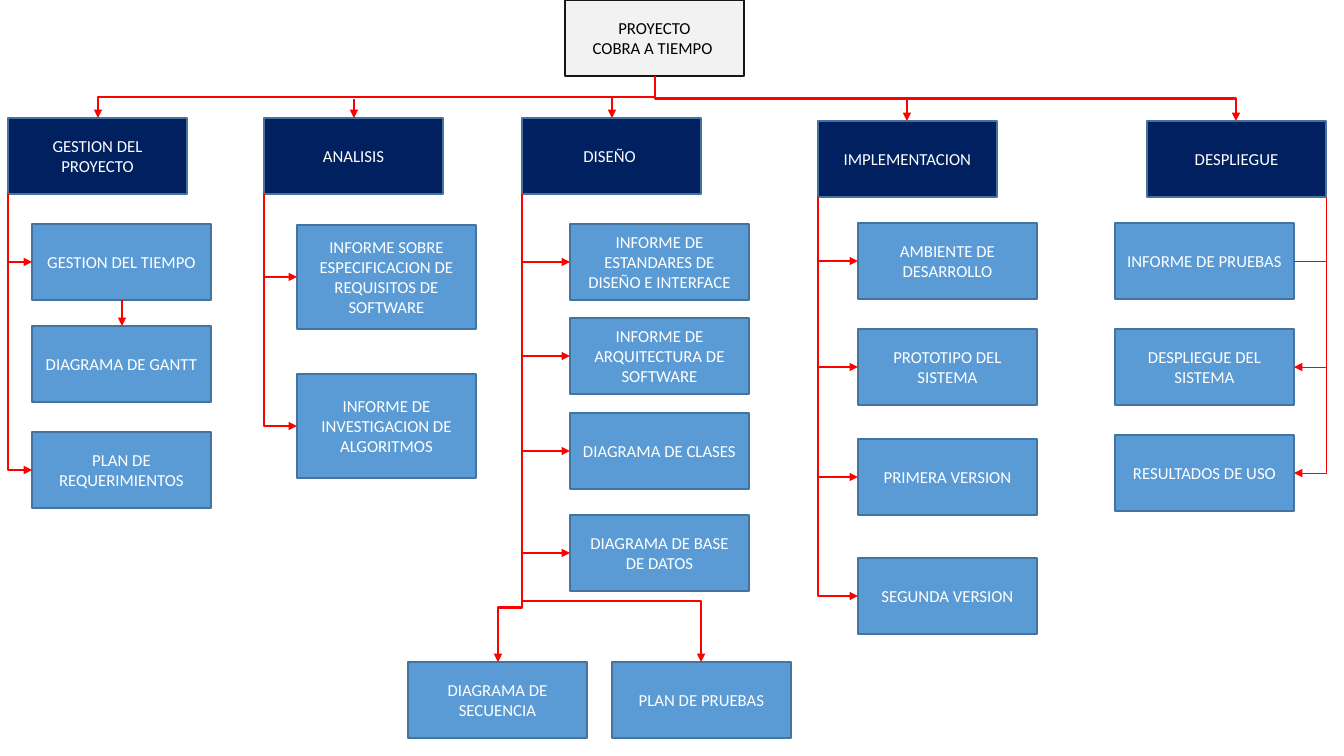
from lxml.etree import SubElement
from pptx import Presentation
from pptx.dml.color import RGBColor
from pptx.enum.shapes import MSO_CONNECTOR, MSO_SHAPE
from pptx.enum.text import MSO_ANCHOR, PP_ALIGN
from pptx.oxml.ns import qn
from pptx.util import Pt

EMU_PER_PX = 914400 / 100.8
BOX_W, BOX_H, TALL_H = 179, 76, 104
NAVY, BLUE, BLUE_EDGE = "002060", "5B9BD5", "43739E"
WHITE, BLACK, RED = "FFFFFF", "000000", "FF0000"

# Phase title, left, top, left of its tasks, task height, [(task, top)]
PHASES = [
    ("GESTION DEL PROYECTO", 8, 118, 32, BOX_H, [
        ("GESTION DEL TIEMPO", 224),
        ("PLAN DE REQUERIMIENTOS", 432)]),
    ("ANALISIS", 264, 118, 297, TALL_H, [
        ("INFORME SOBRE ESPECIFICACION DE REQUISITOS DE SOFTWARE", 225),
        ("INFORME DE INVESTIGACION DE ALGORITMOS", 374)]),
    ("DISEÑO ", 522, 118, 570, BOX_H, [
        ("INFORME DE ESTANDARES DE DISEÑO E INTERFACE", 224),
        ("INFORME DE ARQUITECTURA DE SOFTWARE", 318),
        ("DIAGRAMA DE CLASES", 413),
        ("DIAGRAMA DE BASE DE DATOS", 515)]),
    ("IMPLEMENTACION", 818, 121, 858, BOX_H, [
        ("AMBIENTE DE DESARROLLO", 223),
        ("PROTOTIPO DEL SISTEMA", 329),
        ("PRIMERA VERSION", 439),
        ("SEGUNDA VERSION", 558)]),
    ("DESPLIEGUE", 1147, 121, 1115, BOX_H, [
        ("INFORME DE PRUEBAS", 223),
        ("DESPLIEGUE DEL SISTEMA", 329),
        ("RESULTADOS DE USO", 435)]),
]


def px(length):
    return round(length * EMU_PER_PX)


def rgb(color):
    return RGBColor.from_string(color)


def box(slide, text, left, top, height=BOX_H, fill=BLUE, edge=BLUE_EDGE, ink=WHITE):
    shape = slide.shapes.add_shape(
        MSO_SHAPE.RECTANGLE, px(left), px(top), px(BOX_W), px(height))
    shape.shadow.inherit = False
    shape.fill.solid()
    shape.fill.fore_color.rgb = rgb(fill)
    shape.line.color.rgb = rgb(edge)
    shape.line.width = Pt(1)
    frame = shape.text_frame
    frame.word_wrap = True
    frame.vertical_anchor = MSO_ANCHOR.MIDDLE
    frame.text = text
    for paragraph in frame.paragraphs:
        paragraph.alignment = PP_ALIGN.CENTER
        for run in paragraph.runs:
            run.font.name = "Calibri"
            run.font.size = Pt(12)
            run.font.color.rgb = rgb(ink)


def link(slide, start, end, preset="line", weight=1.5, arrow=True):
    corners = [px(value) for value in (*start, *end)]
    connector = slide.shapes.add_connector(MSO_CONNECTOR.STRAIGHT, *corners)
    connector.line.color.rgb = rgb(RED)
    connector.line.width = Pt(weight)
    properties = connector.element.spPr
    properties.find(qn("a:prstGeom")).set("prst", preset)
    if arrow:
        SubElement(properties.find(qn("a:ln")), qn("a:tailEnd"), type="triangle")
    SubElement(properties, qn("a:effectLst"))
    return connector


def drop_link(slide, start, end, preset="bentConnector2", weight=1.5, arrow=True):
    """Bent link that leaves downwards: a turned frame around the same centre."""
    (x1, y1), (x2, y2) = start, end
    run, fall = abs(x2 - x1), y2 - y1
    left, top = (x1 + x2 - fall) / 2, (y1 + y2 - run) / 2
    connector = link(slide, (left, top), (left + fall, top + run),
                     preset, weight, arrow)
    frame = connector.element.spPr.find(qn("a:xfrm"))
    if x2 > x1:
        frame.set("rot", str(270 * 60000))
        frame.set("flipH", "1")
    else:
        frame.set("rot", str(90 * 60000))


def phase(slide, title, left, top, task_left, task_height, tasks):
    box(slide, title, left, top, fill=NAVY)
    on_right = task_left < left
    trunk = left + BOX_W if on_right else left
    task_edge = task_left + BOX_W if on_right else task_left
    branch_top = top + BOX_H
    for number, (task, task_top) in enumerate(tasks):
        box(slide, task, task_left, task_top, task_height)
        middle = task_top + task_height // 2
        drop_link(slide, (trunk, branch_top), (task_edge, middle),
                  weight=0.5 if on_right else 1.5,
                  arrow=number > 0 or not on_right)
        branch_top = middle


def main():
    deck = Presentation()
    deck.slide_width, deck.slide_height = px(1344), px(756)
    slide = deck.slides.add_slide(deck.slide_layouts[6])

    box(slide, "PROYECTO\nCOBRA A TIEMPO ", 565, 0,
        fill="F2F2F2", edge="181717", ink=BLACK)
    for details in PHASES:
        phase(slide, *details)

    box(slide, "DIAGRAMA DE GANTT", 32, 326)
    link(slide, (122, 300), (122, 326))

    box(slide, "DIAGRAMA DE SECUENCIA", 408, 662)
    box(slide, "PLAN DE PRUEBAS", 612, 662)
    drop_link(slide, (522, 553), (498, 662), "bentConnector3")
    link(slide, (522, 601), (701, 662), "bentConnector2")

    for phase_top in ((1236, 121), (98, 118)):
        drop_link(slide, (655, BOX_H), phase_top, "bentConnector3")
    for x, start, end in ((354, 99, 118), (612, 97, 118), (907, 99, 121)):
        link(slide, (x, start), (x, end))

    deck.save("out.pptx")


if __name__ == "__main__":
    main()
